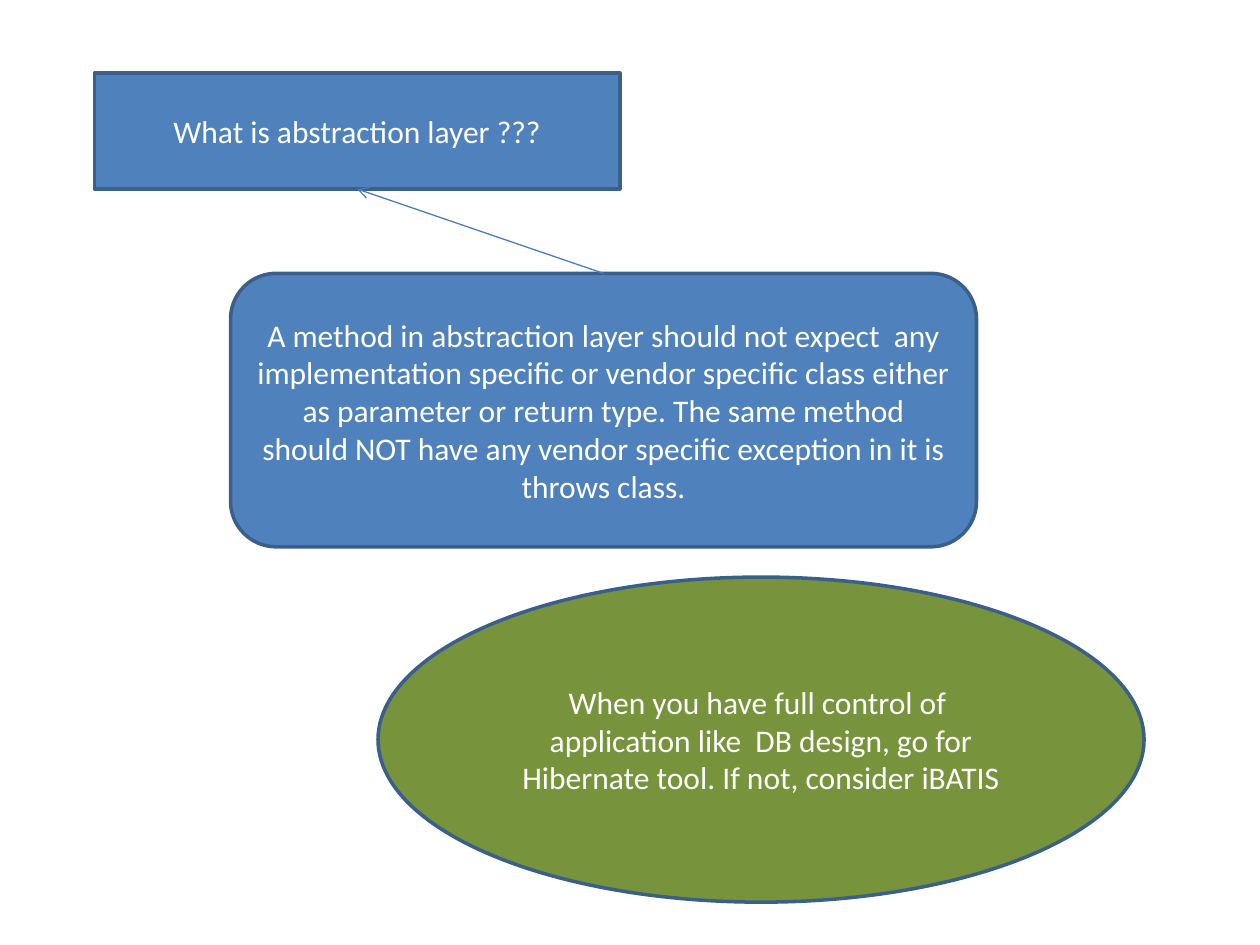
"""Build a slide on abstraction layers and the choice of a persistence tool."""
import lxml.etree
import pptx
import pptx.dml.color
import pptx.enum.shapes
import pptx.enum.text
import pptx.oxml.ns
import pptx.util

Inches = pptx.util.Inches
SHAPE = pptx.enum.shapes.MSO_SHAPE
COLORS = {"blue": "4F81BD", "green": "77933C", "outline": "3A5F8B",
          "arrow": "4A7EBB", "text": "FFFFFF"}
QUESTION = ("What is abstraction layer ???", (0.75, 0.58, 4.17, 0.92))
ANSWER = ("A method in abstraction layer should not expect  any implementation "
          "specific or vendor specific class either as parameter or return type. "
          "The same method should NOT have any vendor specific exception in it is "
          "throws class.", (1.83, 2.17, 5.92, 2.17))
ADVICE = ("When you have full control of  application like  DB design, go for "
          "Hibernate tool. If not, consider iBATIS", (3, 4.58, 6.08, 2.58))


def rgb(name):
    """Return the named palette colour."""
    return pptx.dml.color.RGBColor.from_string(COLORS[name])


def write_box(sp, text, fill="blue", size=18, font="Calibri"):
    """Fill and outline a box and write its centred text."""
    sp.shadow.inherit = False
    sp.fill.solid()
    sp.fill.fore_color.rgb = rgb(fill)
    sp.line.color.rgb = rgb("outline")
    sp.line.width = pptx.util.Pt(2)
    tf = sp.text_frame
    tf.word_wrap = True
    tf.auto_size = pptx.enum.text.MSO_AUTO_SIZE.NONE
    tf.vertical_anchor = pptx.enum.text.MSO_ANCHOR.MIDDLE
    p = tf.paragraphs[0]
    p.alignment = pptx.enum.text.PP_ALIGN.CENTER
    r = p.add_run()
    r.text = text
    r.font.name = font
    r.font.size = pptx.util.Pt(size)
    r.font.color.rgb = rgb("text")
    return sp


def add_box(s, kind, content, **fmt):
    """Add a preset shape holding the given content."""
    text, place = content
    sp = s.shapes.add_shape(kind, *map(Inches, place))
    return write_box(sp, text, **fmt)


def add_arrow(s, start, end):
    """Join the top of one box to the bottom of another with an arrow."""
    c = s.shapes.add_connector(pptx.enum.shapes.MSO_CONNECTOR.STRAIGHT, 0, 0, 0, 0)
    c.begin_connect(start, 0)
    c.end_connect(end, 2)
    c.line.color.rgb = rgb("arrow")
    c.line.width = pptx.util.Pt(0.75)
    qn = pptx.oxml.ns.qn
    lxml.etree.SubElement(c.line._get_or_add_ln(), qn("a:tailEnd"), type="arrow")
    lxml.etree.SubElement(c._element.spPr, qn("a:effectLst"))


def main():
    """Build and save the slide."""
    prs = pptx.Presentation()
    prs.slide_width, prs.slide_height = Inches(10), Inches(7.5)
    s = prs.slides.add_slide(prs.slide_layouts[5])
    title = s.shapes.title
    text, place = QUESTION
    title.left, title.top, title.width, title.height = map(Inches, place)
    write_box(title, text)
    answer = add_box(s, SHAPE.ROUNDED_RECTANGLE, ANSWER)
    add_arrow(s, answer, title)
    add_box(s, SHAPE.OVAL, ADVICE, fill="green")
    prs.save("out.pptx")


if __name__ == "__main__":
    main()
